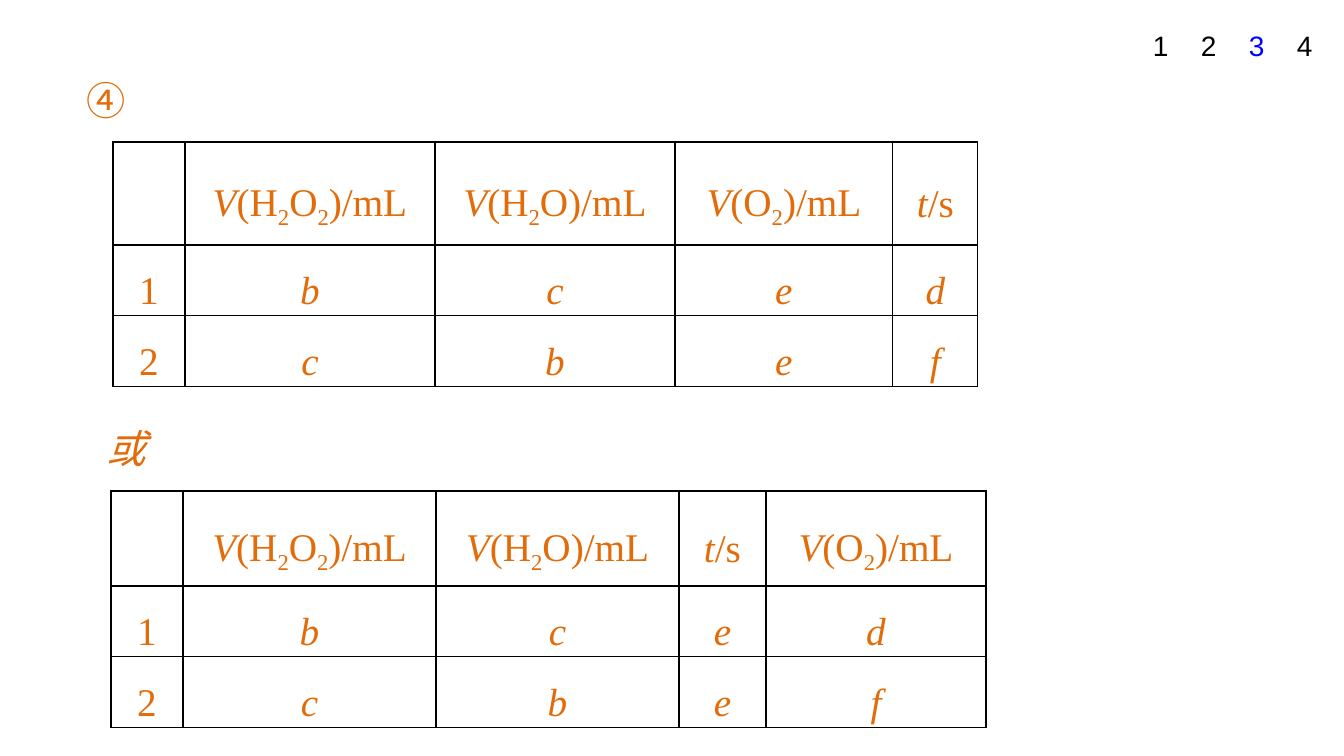
from itertools import groupby

from lxml.etree import SubElement
from pptx import Presentation
from pptx.dml.color import RGBColor
from pptx.enum.text import MSO_ANCHOR, PP_ALIGN
from pptx.oxml.ns import qn
from pptx.util import Emu, Pt

ORANGE = RGBColor(0xE3, 0x6C, 0x0A)
BLACK = RGBColor(0, 0, 0)
BLUE = RGBColor(0, 0, 0xFF)
SERIF = "Times New Roman"
CHINESE = "Noto Sans CJK SC"

LABELS = [("④", CHINESE, 77, 71), ("或", SERIF, 97, 419)]
PAGES = ["1", "2", "3", "4"]
CURRENT_PAGE = "3"
VALUES = [["1", "b", "c", "e", "d"], ["2", "c", "b", "e", "f"]]
TABLES = [
    {
        "left": 113, "top": 142,
        "columns": [72, 250, 240, 218, 85],
        "rows": [103, 64, 64],
        "header": ["", "V(H2O2)/mL", "V(H2O)/mL", "V(O2)/mL", "t/s"],
    },
    {
        "left": 111, "top": 491,
        "columns": [72, 253, 243, 87, 220],
        "rows": [95, 62, 62],
        "header": ["", "V(H2O2)/mL", "V(H2O)/mL", "t/s", "V(O2)/mL"],
    },
]


def px(length):
    return Emu(round(length * 914400 / 100.8))


def split_formula(text):
    def style(item):
        index, letter = item
        return index == 0 and letter.isalpha(), index > 0 and letter.isdigit()

    for (italic, subscript), items in groupby(enumerate(text), style):
        yield "".join(letter for _, letter in items), italic, subscript


def write(frame, text, font=SERIF, size=28, color=ORANGE,
          align=PP_ALIGN.LEFT, spacing=1.0):
    paragraph = frame.paragraphs[0]
    paragraph.alignment = align
    paragraph.line_spacing = spacing
    for part, italic, subscript in split_formula(text):
        run = paragraph.add_run()
        run.text = part
        run.font.size = Pt(size)
        run.font.italic = italic
        run.font.color.rgb = color
        run.font.name = font
        properties = run._r.get_or_add_rPr()
        SubElement(properties, qn("a:ea"), typeface=CHINESE)
        if subscript:
            properties.set("baseline", "-25000")


def draw_borders(cell):
    properties = cell._tc.get_or_add_tcPr()
    for side in ("lnL", "lnR", "lnT", "lnB"):
        line = SubElement(properties, qn("a:" + side), w=str(Pt(1)))
        fill = SubElement(line, qn("a:solidFill"))
        SubElement(fill, qn("a:srgbClr"), val=str(BLACK))


def add_table(slide, left, top, columns, rows, header):
    table = slide.shapes.add_table(
        len(rows), len(columns), px(left), px(top), px(sum(columns)), px(sum(rows))
    ).table
    table.first_row = False
    table.horz_banding = False
    for column, width in zip(table.columns, columns):
        column.width = px(width)
    for row, height, texts in zip(table.rows, rows, [header] + VALUES):
        row.height = px(height)
        for cell, text in zip(row.cells, texts):
            draw_borders(cell)
            cell.fill.background()
            cell.vertical_anchor = MSO_ANCHOR.MIDDLE
            cell.margin_left = cell.margin_right = px(7)
            cell.margin_top = cell.margin_bottom = 0
            write(cell.text_frame, text, align=PP_ALIGN.CENTER, spacing=1.5)


def main():
    presentation = Presentation()
    presentation.slide_width = px(1344)
    presentation.slide_height = px(756)
    slide = presentation.slides.add_slide(presentation.slide_layouts[6])

    for text, font, left, top in LABELS:
        box = slide.shapes.add_textbox(px(left), px(top), px(59), px(57))
        box.text_frame.word_wrap = False
        write(box.text_frame, text, font=font)

    for layout in TABLES:
        add_table(slide, **layout)

    for index, page in enumerate(PAGES):
        box = slide.shapes.add_textbox(px(1140 + 48 * index), px(13), px(39), px(64))
        frame = box.text_frame
        frame.word_wrap = False
        frame.vertical_anchor = MSO_ANCHOR.MIDDLE
        frame.margin_left = frame.margin_right = px(13)
        frame.margin_top = frame.margin_bottom = px(7)
        write(frame, page, font="Arial", size=20, align=PP_ALIGN.RIGHT,
              color=BLUE if page == CURRENT_PAGE else BLACK)

    presentation.save("out.pptx")


if __name__ == "__main__":
    main()
